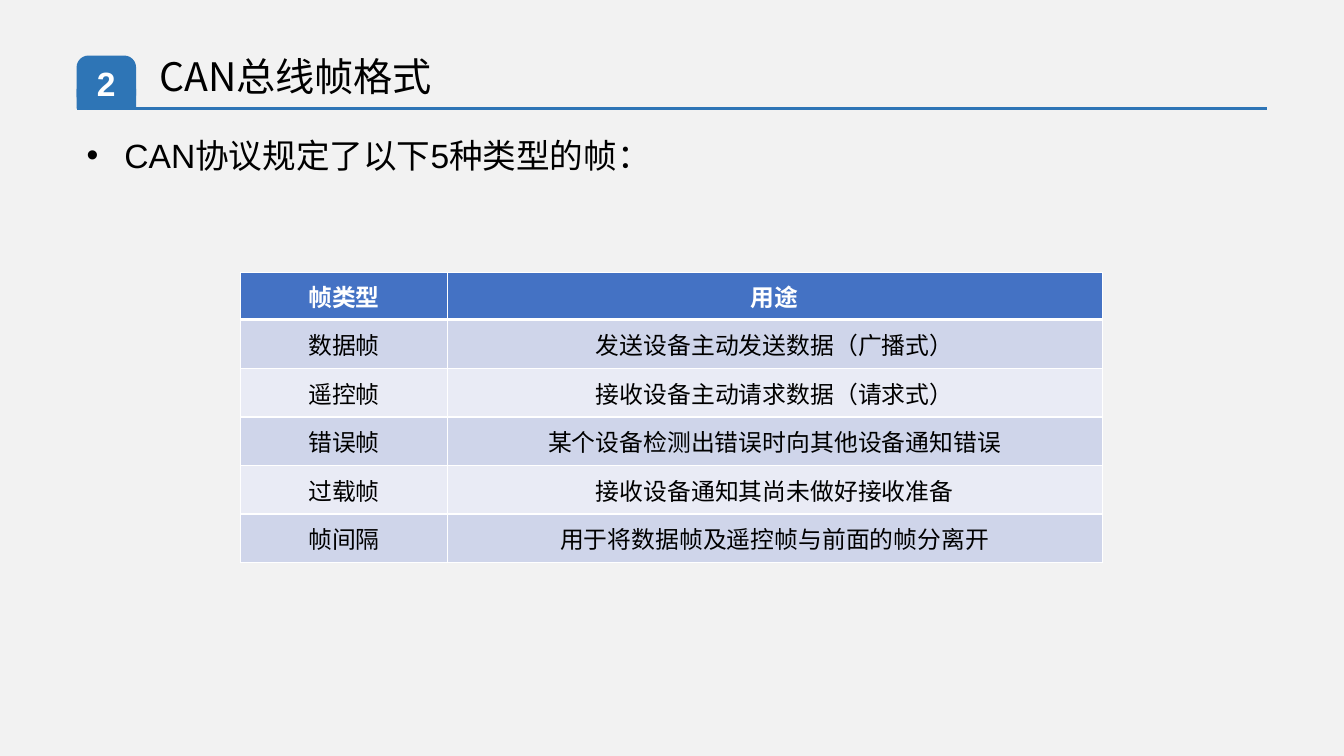
from pptx import Presentation
from pptx.dml.color import RGBColor
from pptx.enum.shapes import MSO_CONNECTOR, MSO_SHAPE
from pptx.enum.text import MSO_ANCHOR, MSO_AUTO_SIZE, PP_ALIGN
from pptx.oxml.ns import qn
from pptx.util import Cm, Pt
from lxml.etree import SubElement

COLORS = {
    "background": "F2F2F2",
    "accent": "2E75B6",
    "header": "4472C4",
    "band_dark": "CFD5EA",
    "band_light": "E9EBF5",
    "white": "FFFFFF",
    "black": "000000",
}
LATIN = "Arial"
CHINESE = "Noto Sans CJK SC"
LEFT = 1.93
RULE_Y = 2.74
FRAMES = [
    ("帧类型", "用途"),
    ("数据帧", "发送设备主动发送数据（广播式）"),
    ("遥控帧", "接收设备主动请求数据（请求式）"),
    ("错误帧", "某个设备检测出错误时向其他设备通知错误"),
    ("过载帧", "接收设备通知其尚未做好接收准备"),
    ("帧间隔", "用于将数据帧及遥控帧与前面的帧分离开"),
]
COLUMN_WIDTHS = [5.2, 16.51]
ROW_HEIGHTS = [1.19, 1.24] + [1.22] * 4


def color(name):
    return RGBColor.from_string(COLORS[name])


def write(frame, text, size=24, font=CHINESE, ink="black", bold=False,
          align=PP_ALIGN.LEFT, spacing=None):
    para = frame.paragraphs[0]
    para.alignment = align
    para.space_before = Pt(0)
    para.line_spacing = spacing
    span = para.add_run()
    span.text = text
    span.font.size = Pt(size)
    span.font.name = font
    span.font.bold = bold
    span.font.color.rgb = color(ink)
    SubElement(span.font._element, qn("a:ea"), typeface=CHINESE)
    return para


def place(box, left, top, width, height, anchor=MSO_ANCHOR.TOP):
    box.left, box.top, box.width, box.height = map(Cm, (left, top, width, height))
    frame = box.text_frame
    frame.word_wrap = True
    frame.auto_size = MSO_AUTO_SIZE.SHAPE_TO_FIT_TEXT
    frame.vertical_anchor = anchor
    return frame


def add_bullet(para):
    props = para._p.get_or_add_pPr()
    props.set("marL", str(Cm(0.95)))
    props.set("indent", str(-Cm(0.95)))
    SubElement(props, qn("a:buFont"), typeface=LATIN)
    SubElement(props, qn("a:buChar"), char="•")


def add_block(page, kind, top, height):
    block = page.shapes.add_shape(kind, Cm(LEFT), Cm(top), Cm(1.5), Cm(height))
    block.shadow.inherit = False
    block.fill.solid()
    block.fill.fore_color.rgb = color("accent")
    block.line.fill.background()
    return block


def add_rule(page):
    rule = page.shapes.add_connector(MSO_CONNECTOR.STRAIGHT, Cm(LEFT), Cm(RULE_Y),
                                     Cm(LEFT + 30), Cm(RULE_Y))
    rule.line.color.rgb = color("accent")
    rule.line.width = Pt(2.25)
    SubElement(rule._element.spPr, qn("a:effectLst"))


def add_border(cell, side, points):
    props = cell._tc.get_or_add_tcPr()
    line = SubElement(props, qn(f"a:ln{side}"), w=str(Pt(points)))
    fill = SubElement(line, qn("a:solidFill"))
    SubElement(fill, qn("a:srgbClr"), val=COLORS["white"])


def format_cell(cell, text, row):
    is_header = row == 0
    widths = {"L": 1, "R": 1, "T": 3 if row == 1 else 1, "B": 3 if is_header else 1}
    for side, points in widths.items():
        add_border(cell, side, points)
    cell.fill.solid()
    band = "band_dark" if row % 2 else "band_light"
    cell.fill.fore_color.rgb = color("header" if is_header else band)
    cell.vertical_anchor = MSO_ANCHOR.MIDDLE
    cell.margin_left = cell.margin_right = Cm(0.28)
    cell.margin_top = cell.margin_bottom = Cm(0.15)
    write(cell.text_frame, text, size=17, ink="white" if is_header else "black",
          bold=is_header, align=PP_ALIGN.CENTER)


def add_frame_table(page):
    table = page.shapes.add_table(len(FRAMES), len(COLUMN_WIDTHS), Cm(6.07), Cm(6.86),
                                  Cm(sum(COLUMN_WIDTHS)), Cm(sum(ROW_HEIGHTS))).table
    for column, width in zip(table.columns, COLUMN_WIDTHS):
        column.width = Cm(width)
    for row, height in zip(table.rows, ROW_HEIGHTS):
        row.height = Cm(height)
    for row, texts in enumerate(FRAMES):
        for column, text in enumerate(texts):
            format_cell(table.cell(row, column), text, row)


def add_badge(page):
    badge = add_block(page, MSO_SHAPE.ROUNDED_RECTANGLE, 1.4, 1.3)
    badge.adjustments[0] = 0.23
    add_rule(page)
    add_block(page, MSO_SHAPE.RECTANGLE, RULE_Y - 0.5, 0.5)


def add_number(page):
    box = page.shapes.add_textbox(0, 0, 0, 0)
    frame = place(box, 2.08, 1.45, 1.19, 1.27, MSO_ANCHOR.MIDDLE)
    write(frame, "2", font=LATIN, ink="white", bold=True, align=PP_ALIGN.CENTER)


def main():
    deck = Presentation()
    deck.slide_width, deck.slide_height = Cm(33.87), Cm(19.05)
    page = deck.slides.add_slide(deck.slide_layouts[1])
    page.background.fill.solid()
    page.background.fill.fore_color.rgb = color("background")

    body = place(page.placeholders[1], LEFT, 3.38, 30, 1.27)
    add_bullet(write(body, "CAN协议规定了以下5种类型的帧：", font=LATIN, spacing=0.9))
    title = place(page.shapes.title, 3.76, 1.32, 24.23, 1.45)
    write(title, "CAN总线帧格式", size=28, spacing=0.9)

    add_badge(page)
    add_frame_table(page)
    add_number(page)
    deck.save("out.pptx")


if __name__ == "__main__":
    main()
